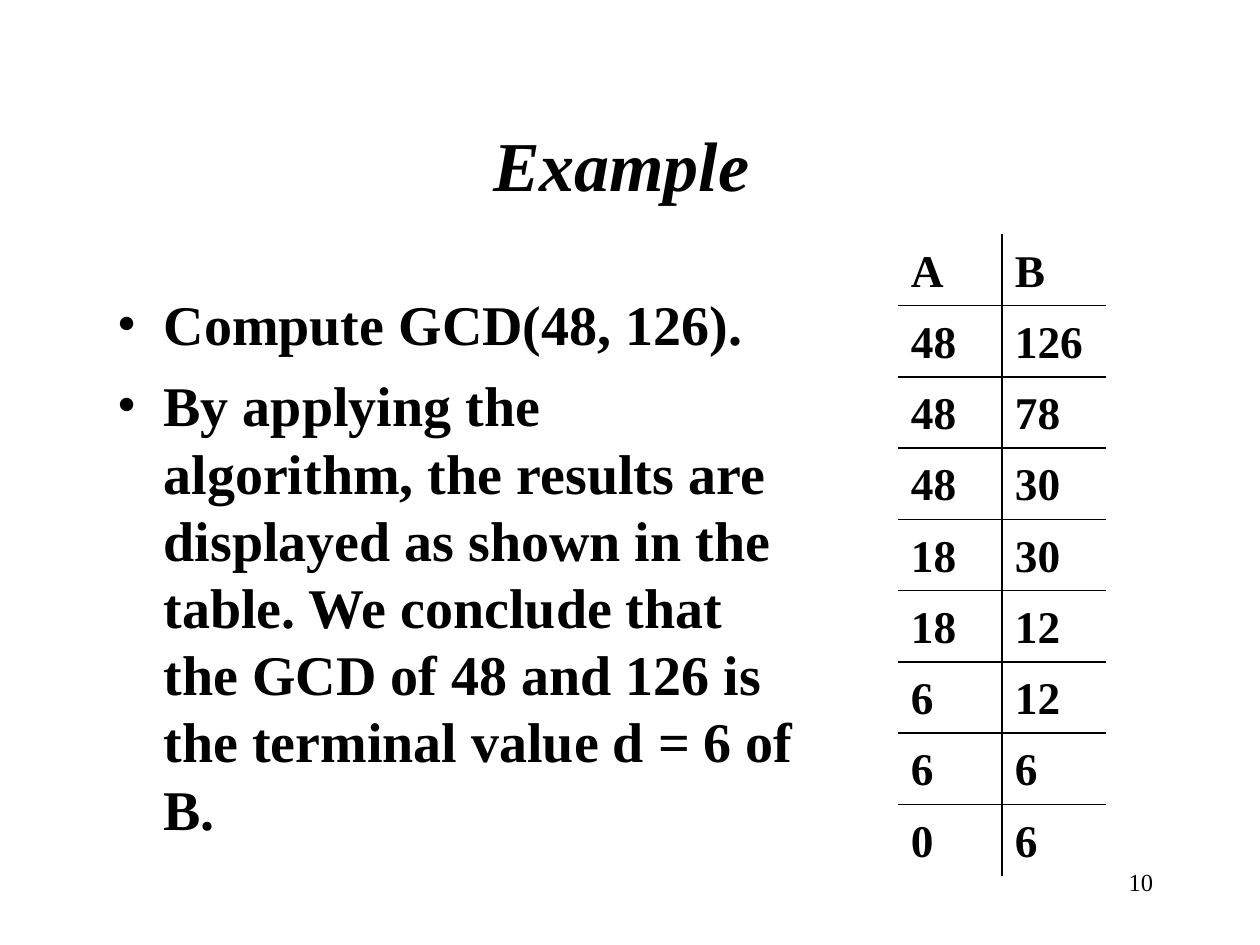
from typing import NamedTuple

from lxml import etree
from pptx import Presentation
from pptx.dml.color import RGBColor
from pptx.enum.shapes import MSO_CONNECTOR
from pptx.enum.text import MSO_ANCHOR, PP_ALIGN
from pptx.oxml.ns import qn
from pptx.util import Inches, Pt

BLACK = RGBColor(0x00, 0x00, 0x00)
FONT = "Times New Roman"
NO_STYLE_NO_GRID = "{2D5ABB26-0587-4C30-8999-92F81FD0307C}"
LEFT, CENTER, RIGHT = PP_ALIGN.LEFT, PP_ALIGN.CENTER, PP_ALIGN.RIGHT
TOP, MIDDLE = MSO_ANCHOR.TOP, MSO_ANCHOR.MIDDLE
STRAIGHT = MSO_CONNECTOR.STRAIGHT


class Box(NamedTuple):
    left: float
    top: float
    width: float
    height: float


TITLE = Box(0.75, 0.67, 8.5, 1.25)
BODY = Box(0.83, 2.25, 5.59, 4.5)
STEPS = Box(7.13, 1.86, 1.65, 5.09)
NUMBER = Box(7.17, 6.83, 2.08, 0.5)
HANGING = Inches(0.37)

BULLETS = [
    "Compute GCD(48, 126).",
    "By applying the algorithm, the results are displayed as shown in the table. "
    "We conclude that the GCD of 48 and 126 is the terminal value d = 6 of B.",
]
STEP_ROWS = [
    ("A", "B"), ("48", "126"), ("48", "78"), ("48", "30"), ("18", "30"),
    ("18", "12"), ("6", "12"), ("6", "6"), ("0", "6"),
]


def place(box: Box) -> tuple:
    return tuple(Inches(v) for v in box)


def add_bullet(p) -> None:
    pPr = p._p.get_or_add_pPr()
    pPr.set("marL", str(HANGING))
    pPr.set("indent", str(-HANGING))
    etree.SubElement(pPr, qn("a:buFont"), typeface=FONT)
    etree.SubElement(pPr, qn("a:buChar")).set("char", "•")


def write(tf, *lines: str, size: float, bold=False, italic=False,
          align=LEFT, bullet=False, gap: float = 0) -> None:
    """Fill a text frame, one paragraph per line."""
    tf.word_wrap = True
    for i, line in enumerate(lines):
        p = tf.paragraphs[0] if i == 0 else tf.add_paragraph()
        if bullet:
            add_bullet(p)
        p.alignment = align
        if i:
            p.space_before = Pt(gap)
        r = p.add_run()
        r.text = line
        r.font.name, r.font.size = FONT, Pt(size)
        r.font.bold, r.font.italic = bold, italic
        r.font.color.rgb = BLACK


def add_text(slide, box: Box, *lines: str, anchor=TOP, **fmt) -> None:
    tf = slide.shapes.add_textbox(*place(box)).text_frame
    write(tf, *lines, **fmt)
    tf.vertical_anchor = anchor


def add_rule(slide, x1: float, y1: float, x2: float, y2: float) -> None:
    sp = slide.shapes.add_connector(
        STRAIGHT, Inches(x1), Inches(y1), Inches(x2), Inches(y2))
    sp.line.color.rgb = BLACK
    sp.line.width = Pt(1)
    etree.SubElement(sp._element.spPr, qn("a:effectLst"))


def add_steps(slide, box: Box, rows: list) -> None:
    """Plain table with rules only between its rows and columns."""
    n_rows, n_cols = len(rows), len(rows[0])
    row_height, col_width = box.height / n_rows, box.width / n_cols
    table = slide.shapes.add_table(n_rows, n_cols, *place(box)).table
    table.first_row = table.horz_banding = False
    table._tbl.tblPr.find(qn("a:tableStyleId")).text = NO_STYLE_NO_GRID
    for i, row in enumerate(rows):
        table.rows[i].height = Inches(row_height)
        for j, value in enumerate(row):
            cell = table.cell(i, j)
            cell.margin_top, cell.margin_bottom = Inches(0.1), 0
            write(cell.text_frame, value, size=25.9, bold=True)
            cell.fill.background()

    right, bottom = box.left + box.width, box.top + box.height
    for i in range(1, n_rows):
        y = box.top + i * row_height
        add_rule(slide, box.left, y, right, y)
    for j in range(1, n_cols):
        x = box.left + j * col_width
        add_rule(slide, x, box.top, x, bottom)


def main() -> None:
    prs = Presentation()
    prs.slide_width, prs.slide_height = Inches(10), Inches(7.5)
    slide = prs.slides.add_slide(prs.slide_layouts[6])

    # Slide number
    add_text(slide, NUMBER, "10", size=14, align=RIGHT)

    # Title and bullets
    add_text(slide, TITLE, "Example ", size=40, bold=True, italic=True,
             align=CENTER, anchor=MIDDLE)
    add_text(slide, BODY, *BULLETS, size=32, bold=True, bullet=True, gap=8)

    # Steps of the algorithm
    add_steps(slide, STEPS, STEP_ROWS)

    prs.save("out.pptx")


if __name__ == "__main__":
    main()
